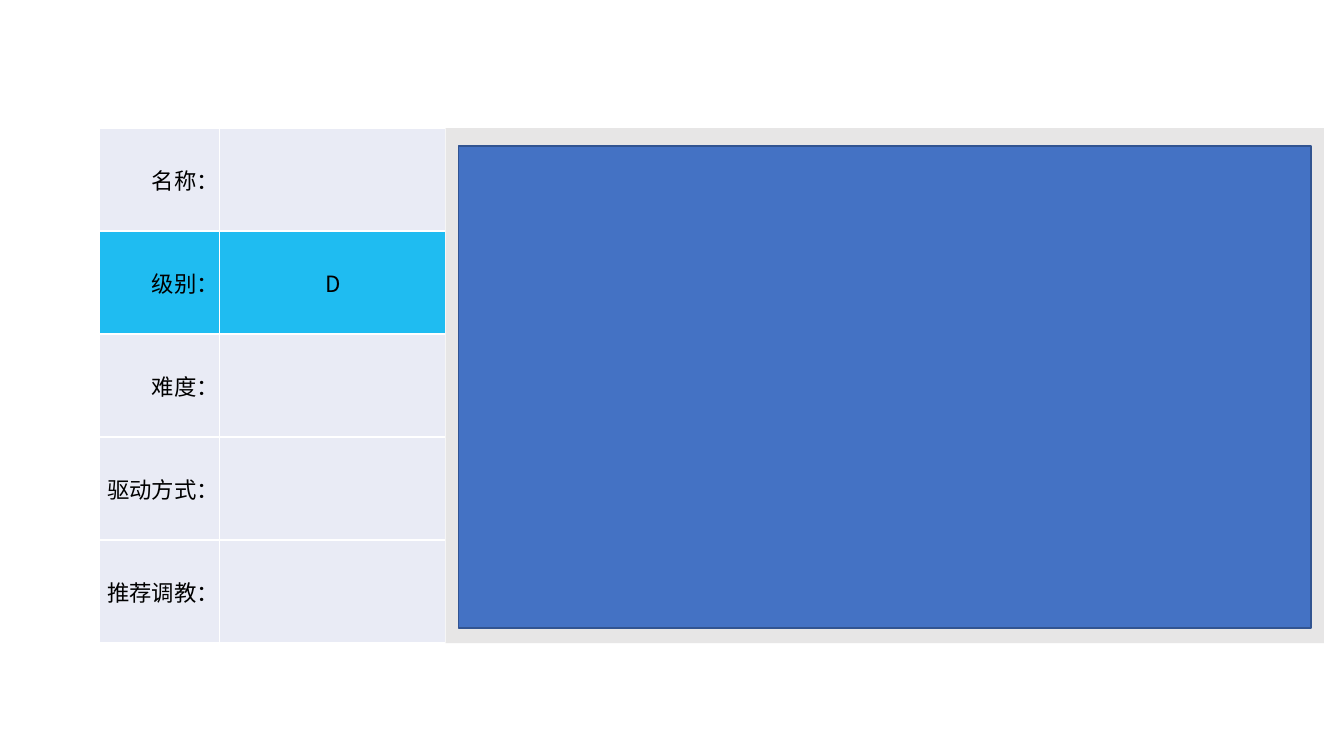
from lxml.etree import SubElement
from pptx import Presentation
from pptx.dml.color import RGBColor
from pptx.enum.shapes import MSO_SHAPE
from pptx.enum.text import MSO_ANCHOR, PP_ALIGN
from pptx.oxml.ns import qn
from pptx.util import Inches, Pt

FONT = "Noto Sans CJK SC"
ROWS = [
    ("名称：", "", "E9EBF5"),
    ("级别：", "D", "1FBCF1"),
    ("难度：", "", "E9EBF5"),
    ("驱动方式：", "", "E9EBF5"),
    ("推荐调教：", "", "E9EBF5"),
]
ALIGNMENTS = (PP_ALIGN.RIGHT, PP_ALIGN.CENTER)
COLUMN_WIDTHS = (1.19, 2.24)
LEFT, TOP, HEIGHT = 0.99, 1.27, 5.11
PANEL_WIDTH = 8.71
MARGIN_X, MARGIN_TOP, MARGIN_BOTTOM = 0.125, 0.18, 0.15


def color(value):
    return RGBColor.from_string(value)


def add_borders(cell, value):
    """Draw a one-point line on all four sides; call before filling the cell."""
    properties = cell._tc.get_or_add_tcPr()
    for side in ("a:lnL", "a:lnR", "a:lnT", "a:lnB"):
        line = SubElement(properties, qn(side), w=str(Pt(1)))
        fill = SubElement(line, qn("a:solidFill"))
        SubElement(fill, qn("a:srgbClr"), val=value)


def fill_cell(cell, text, fill, alignment):
    add_borders(cell, "FFFFFF")
    cell.fill.solid()
    cell.fill.fore_color.rgb = color(fill)
    cell.vertical_anchor = MSO_ANCHOR.MIDDLE
    cell.margin_left = cell.margin_right = cell.margin_top = Inches(0.01)
    cell.margin_bottom = 0
    if not text:
        return
    cell.text_frame.text = text
    para = cell.text_frame.paragraphs[0]
    para.alignment = alignment
    span = para.runs[0]
    span.font.size = Pt(16)
    span.font.name = FONT
    span.font.color.rgb = color("000000")
    SubElement(span.font._element, qn("a:ea"), typeface=FONT)


def add_details(page):
    frame = page.shapes.add_table(
        len(ROWS), len(COLUMN_WIDTHS), Inches(LEFT), Inches(TOP),
        Inches(sum(COLUMN_WIDTHS)), Inches(HEIGHT))
    table = frame.table
    table.first_row = table.horz_banding = False
    for column, width in zip(table.columns, COLUMN_WIDTHS):
        column.width = Inches(width)
    for row, (label, value, fill) in zip(table.rows, ROWS):
        row.height = Inches(HEIGHT / len(ROWS))
        for cell, text, alignment in zip(row.cells, (label, value), ALIGNMENTS):
            fill_cell(cell, text, fill, alignment)


def add_panel(page, left, top, width, height, fill, outline=None):
    panel = page.shapes.add_shape(
        MSO_SHAPE.RECTANGLE, Inches(left), Inches(top), Inches(width), Inches(height))
    panel.shadow.inherit = False
    panel.fill.solid()
    panel.fill.fore_color.rgb = color(fill)
    if outline:
        panel.line.color.rgb = color(outline)
        panel.line.width = Pt(1)
    else:
        panel.line.fill.background()


def main():
    deck = Presentation()
    deck.slide_width, deck.slide_height = Inches(13.33), Inches(7.5)
    page = deck.slides.add_slide(deck.slide_layouts[6])
    add_details(page)
    panel_left = LEFT + sum(COLUMN_WIDTHS)
    add_panel(page, panel_left, TOP, PANEL_WIDTH, HEIGHT, "E7E6E6")
    add_panel(page, panel_left + MARGIN_X, TOP + MARGIN_TOP,
              PANEL_WIDTH - 2 * MARGIN_X, HEIGHT - MARGIN_TOP - MARGIN_BOTTOM,
              "4472C4", "325491")
    deck.save("out.pptx")


if __name__ == "__main__":
    main()
